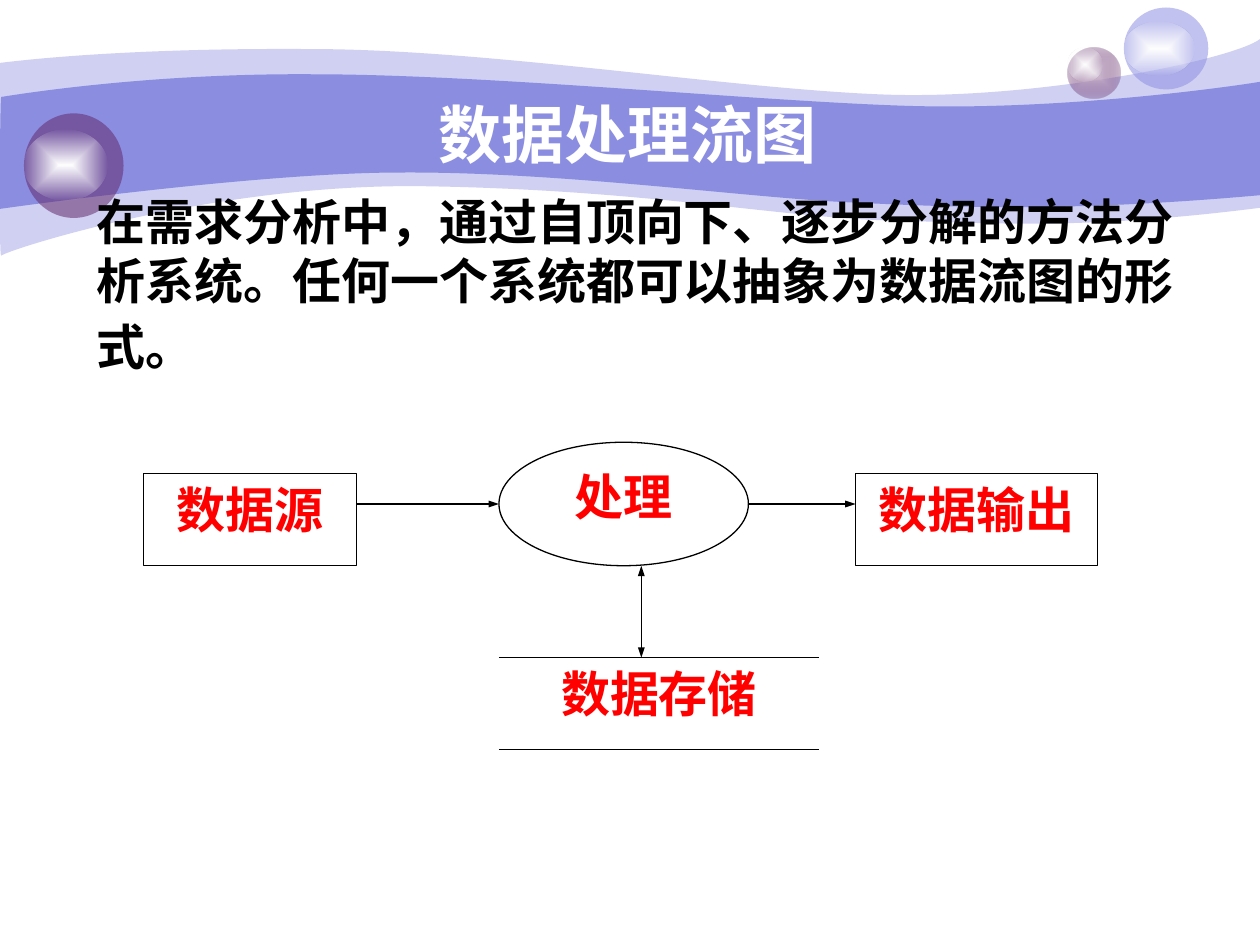
from pptx import Presentation
from pptx.dml.color import RGBColor
from pptx.enum.shapes import MSO_CONNECTOR, MSO_SHAPE
from pptx.enum.text import MSO_ANCHOR, MSO_AUTO_SIZE, PP_ALIGN
from pptx.oxml import parse_xml
from pptx.oxml.ns import nsdecls, qn
from pptx.util import Inches, Pt

RECT, OVAL = MSO_SHAPE.RECTANGLE, MSO_SHAPE.OVAL
LINE = MSO_CONNECTOR.STRAIGHT
TOP, MIDDLE = MSO_ANCHOR.TOP, MSO_ANCHOR.MIDDLE
LEFT, CENTER = PP_ALIGN.LEFT, PP_ALIGN.CENTER
FIXED, GROW = MSO_AUTO_SIZE.NONE, MSO_AUTO_SIZE.SHAPE_TO_FIT_TEXT

WHITE = RGBColor(0xFF, 0xFF, 0xFF)
BLACK = RGBColor(0, 0, 0)
RED = RGBColor(0xFF, 0, 0)
BLUE = RGBColor(0x8B, 0x8D, 0xE1)
PLUM = RGBColor(0x63, 0x27, 0x69)
PALE = RGBColor(0xD7, 0xC8, 0xD9)

TITLE = dict(name="Arial", size=Pt(36), bold=True)
LABEL = dict(name="Times New Roman", size=Pt(28), bold=True)
BODY = dict(name="Noto Sans CJK SC", size=Pt(28), bold=True)
TAIL = {**BODY, "size": Pt(32)}

# Each wave: start point, then curves (three points) and lines (one point)
OUTER = ((0, 0.5), [
    [(0.24, 0.47), (1.07, 0.38), (2.47, 0.39)],
    [(3.86, 0.39), (5.75, 0.7), (6.99, 0.75)],
    [(8.22, 0.8), (9.8, 0.47), (10, 0.31)],
    [(10, 1.65)],
    [(8.58, 1.83), (7.87, 1.77), (7.05, 1.75)],
    [(6.22, 1.73), (5.15, 1.51), (3.43, 1.48)],
    [(1.72, 1.44), (0.04, 1.99), (0.01, 2.03)],
    [(-0.01, 2.08), (0, 0.75), (0, 0.5)]])
INNER = ((0.01, 0.77), [
    [(0.02, 0.77), (1.1, 0.58), (2.48, 0.59)],
    [(3.86, 0.59), (5.95, 0.8), (7.18, 0.84)],
    [(8.41, 0.88), (9.76, 0.69), (10, 0.65)],
    [(10, 1.55)],
    [(8.53, 1.68), (7.65, 1.65), (6.82, 1.61)],
    [(5.99, 1.58), (4.47, 1.36), (3.17, 1.37)],
    [(2.03, 1.37), (-0.02, 1.66), (-0.01, 1.66)],
    [(0, 1.66), (0, 0.77), (0.01, 0.77)]])


def inches(*values):
    return [Inches(v) for v in values]


def tint(rgb, alpha):
    return (f'<a:srgbClr val="{rgb}"><a:alpha val="{alpha * 1000}"/>'
            '</a:srgbClr>')


def flat(rgb, alpha=100):
    return f'<a:solidFill {nsdecls("a")}>{tint(rgb, alpha)}</a:solidFill>'


def glow(inner, outer, alpha):
    """Fill that fades from the centre to a see-through edge."""
    return (f'<a:gradFill {nsdecls("a")} rotWithShape="1"><a:gsLst>'
            f'<a:gs pos="0">{tint(inner, 100)}</a:gs>'
            f'<a:gs pos="100000">{tint(outer, alpha)}</a:gs></a:gsLst>'
            '<a:path path="rect"><a:fillToRect l="50000" t="50000" '
            'r="50000" b="50000"/></a:path></a:gradFill>')


def paint(shape, fill):
    """Give a shape the fill XML, with no line and no shadow."""
    shape.shadow.inherit = False
    shape.line.fill.background()
    shape.fill.background()
    props = shape.element.spPr
    props.replace(props.find(qn("a:noFill")), parse_xml(fill))


def add_wave(shapes, start, parts, fill):
    form = shapes.build_freeform(*inches(*start))
    form.add_line_segments([inches(*dot) for part in parts for dot in part],
                           close=True)
    wave = form.convert_to_shape()
    paint(wave, fill)
    # Join each run of three segments into one cubic curve
    steps = iter(list(wave.element.iter(qn("a:lnTo"))))
    for part in parts:
        first, *rest = [next(steps) for _ in part]
        if rest:
            first.tag = qn("a:cubicBezTo")
        for step in rest:
            first.append(step[0])
            step.getparent().remove(step)


def add_orb(shapes, box, fill):
    paint(shapes.add_shape(OVAL, *inches(*box)), fill)


def add_run(para, text, font, color):
    run = para.add_run()
    run.text = text
    for key, value in font.items():
        setattr(run.font, key, value)
    run.font.color.rgb = color


def write(shape, text, font, color, align=CENTER, anchor=TOP, fit=FIXED):
    frame = shape.text_frame
    frame.word_wrap = True
    frame.auto_size = fit
    frame.vertical_anchor = anchor
    para = frame.paragraphs[0]
    para.alignment = align
    add_run(para, text, font, color)
    return para


def edge(shape):
    shape.line.color.rgb = BLACK
    shape.line.width = Pt(0.75)


def add_node(shapes, kind, box, text, lined=True):
    node = shapes.add_shape(kind, *inches(*box))
    paint(node, flat(WHITE))
    if lined:
        edge(node)
    write(node, text, LABEL, RED)


def add_line(shapes, start, end, *tips):
    """Line with arrowheads at the ends named in tips."""
    line = shapes.add_connector(LINE, *inches(*start, *end))
    edge(line)
    props = line.element.spPr
    for tip in tips:
        props.find(qn("a:ln")).append(parse_xml(
            f'<a:{tip} {nsdecls("a")} type="triangle" w="sm" len="med"/>'))
    props.append(parse_xml(f'<a:effectLst {nsdecls("a")}/>'))


def add_decor(shapes):
    add_wave(shapes, *OUTER, flat(BLUE, 41))
    add_wave(shapes, *INNER, flat(BLUE))
    shine = glow(WHITE, WHITE, 0)
    for box, fill, light in (
            ((8.47, 0.38, 0.42, 0.4), glow(PALE, PLUM, 31),
             (8.47, 0.38, 0.28, 0.27)),
            ((8.92, 0.06, 0.67, 0.65), flat(BLUE, 53),
             (8.92, 0.17, 0.56, 0.43)),
            ((0.19, 0.9, 0.79, 0.83), flat(PLUM, 53),
             (0.19, 1.03, 0.66, 0.56))):
        ball = shapes.add_group_shape().shapes
        add_orb(ball, box, fill)
        add_orb(ball, light, shine)


def add_title(shapes, text):
    title = shapes.title
    title.left, title.top, title.width, title.height = inches(
        1, 0.75, 8.08, 0.62)
    write(title, text, TITLE, WHITE, anchor=MIDDLE)
    # Bring the title in front of the waves
    title.element.getparent().append(title.element)


def add_flow(shapes):
    add_node(shapes, RECT, (3.96, 5.22, 2.54, 0.73), "数据存储", lined=False)
    add_node(shapes, RECT, (1.14, 3.76, 1.69, 0.73), "数据源")
    add_node(shapes, RECT, (6.79, 3.76, 1.92, 0.73), "数据输出")
    add_node(shapes, OVAL, (3.96, 3.51, 1.98, 0.98), "处理")
    add_line(shapes, (2.83, 4), (3.96, 4), "tailEnd")
    add_line(shapes, (5.94, 4), (6.79, 4), "tailEnd")
    add_line(shapes, (5.09, 4.49), (5.09, 5.22), "headEnd", "tailEnd")
    for y in (5.22, 5.95):
        add_line(shapes, (3.96, y), (6.5, y))


def add_body(shapes, text):
    box = shapes.add_textbox(*inches(0.67, 1.47, 8.9, 1.57))
    para = write(box, text, BODY, BLACK, align=LEFT, fit=GROW)
    add_run(para, " ", TAIL, BLACK)


def main():
    deck = Presentation()
    deck.slide_width, deck.slide_height = inches(10, 7.5)
    shapes = deck.slides.add_slide(deck.slide_layouts[5]).shapes
    add_decor(shapes)
    add_title(shapes, "数据处理流图 ")
    add_flow(shapes.add_group_shape().shapes)
    add_body(shapes, "在需求分析中，通过自顶向下、逐步分解的方法分析系统。"
                     "任何一个系统都可以抽象为数据流图的形式。")
    deck.save("out.pptx")


if __name__ == "__main__":
    main()
